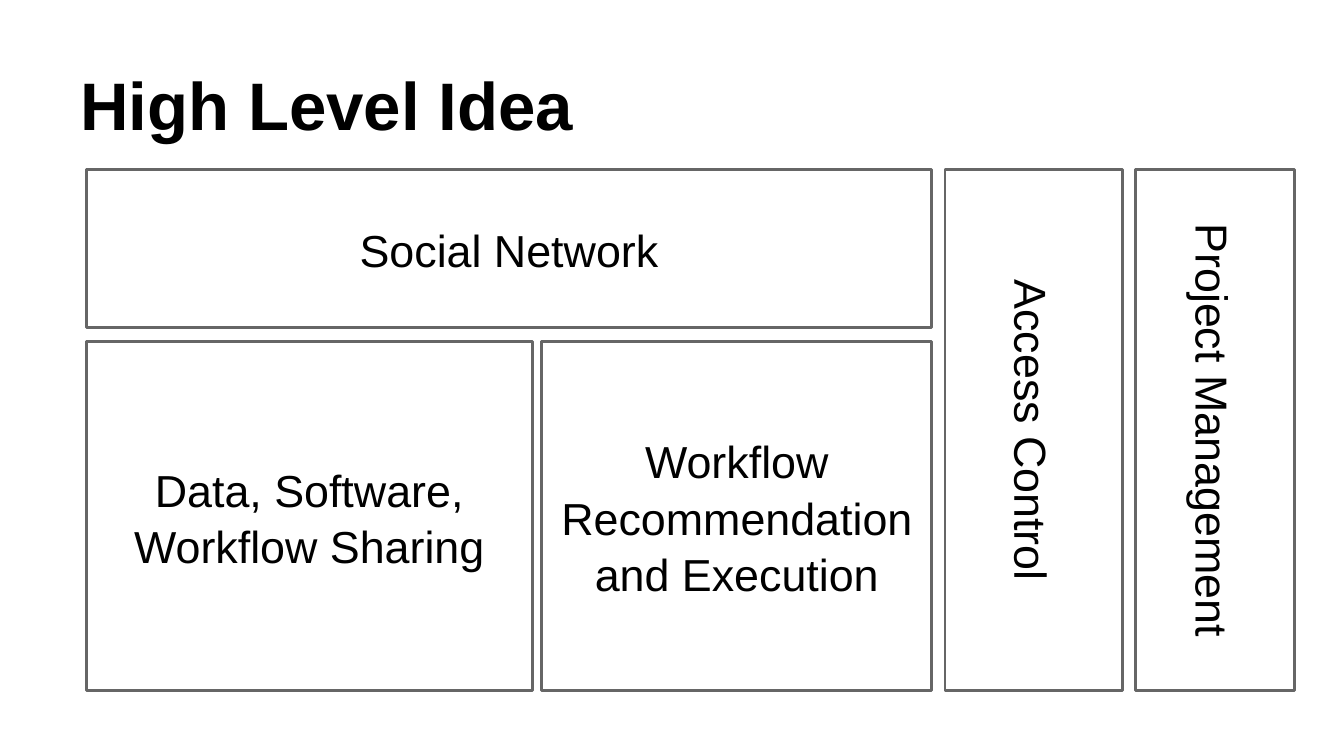
"""Builds the High Level Idea slide: a block diagram of platform parts."""
import pptx
import pptx.util
import pptx.dml.color
import pptx.enum.shapes
import pptx.enum.text

Cm, Pt = pptx.util.Cm, pptx.util.Pt
PP, ANCHOR = pptx.enum.text.PP_ALIGN, pptx.enum.text.MSO_ANCHOR

TITLE = "High Level Idea"
TOP_BLOCK = "Social Network"
LOWER_BLOCKS = [("Data, Software, Workflow Sharing", 8.43),
                ("Workflow Recommendation and Execution", 7.37)]
SIDE_BLOCKS = [("Access Control", 3.35), ("Project Management", 3.0)]

LEFT, TOP, HEIGHT, TOP_HEIGHT = 1.63, 3.2, 9.86, 3.0
GAP, LOWER_GAP = 0.25, 0.18
TEXT, LINE = "000000", "666666"


def rgb(value):
    return pptx.dml.color.RGBColor.from_string(value)


def set_text(sp, text, size, align, anchor, bold=False):
    tf = sp.text_frame
    tf.word_wrap = True
    tf.auto_size = pptx.enum.text.MSO_AUTO_SIZE.NONE
    tf.vertical_anchor = anchor
    tf.margin_left = tf.margin_right = tf.margin_top = tf.margin_bottom = Cm(0.25)
    tf.text = text
    p = tf.paragraphs[0]
    p.alignment = align
    p.font.name, p.font.size, p.font.bold = "Arial", Pt(size), bold
    p.font.color.rgb = rgb(TEXT)
    return p


def add_block(s, text, x, y, w, h, turned=False):
    if turned:
        x, y, w, h = x + (w - h) / 2, y + (h - w) / 2, h, w
    sp = s.shapes.add_shape(pptx.enum.shapes.MSO_SHAPE.RECTANGLE,
                            Cm(x), Cm(y), Cm(w), Cm(h))
    sp.rotation = 90 if turned else 0
    sp.shadow.inherit = False
    sp.fill.background()
    sp.line.color.rgb = rgb(LINE)
    sp.line.width = Pt(1.5)
    set_text(sp, text, 24, PP.CENTER, ANCHOR.MIDDLE).line_spacing = 1.05


def main():
    prs = pptx.Presentation()
    prs.slide_width, prs.slide_height = Cm(25.4), Cm(14.29)
    s = prs.slides.add_slide(prs.slide_layouts[5])

    title = s.shapes.title
    title.left, title.top, title.width, title.height = Cm(1.27), Cm(0.58), Cm(22.86), Cm(2.39)
    set_text(title, TITLE, 36, PP.LEFT, ANCHOR.BOTTOM, bold=True)

    main_width = sum(w for _, w in LOWER_BLOCKS) + LOWER_GAP
    add_block(s, TOP_BLOCK, LEFT, TOP, main_width, TOP_HEIGHT)

    x, drop = LEFT, TOP_HEIGHT + GAP
    for text, w in LOWER_BLOCKS:
        add_block(s, text, x, TOP + drop, w, HEIGHT - drop)
        x += w + LOWER_GAP

    x = LEFT + main_width + GAP
    for text, w in SIDE_BLOCKS:
        add_block(s, text, x, TOP, w, HEIGHT, turned=True)
        x += w + GAP

    prs.save("out.pptx")


if __name__ == "__main__":
    main()
